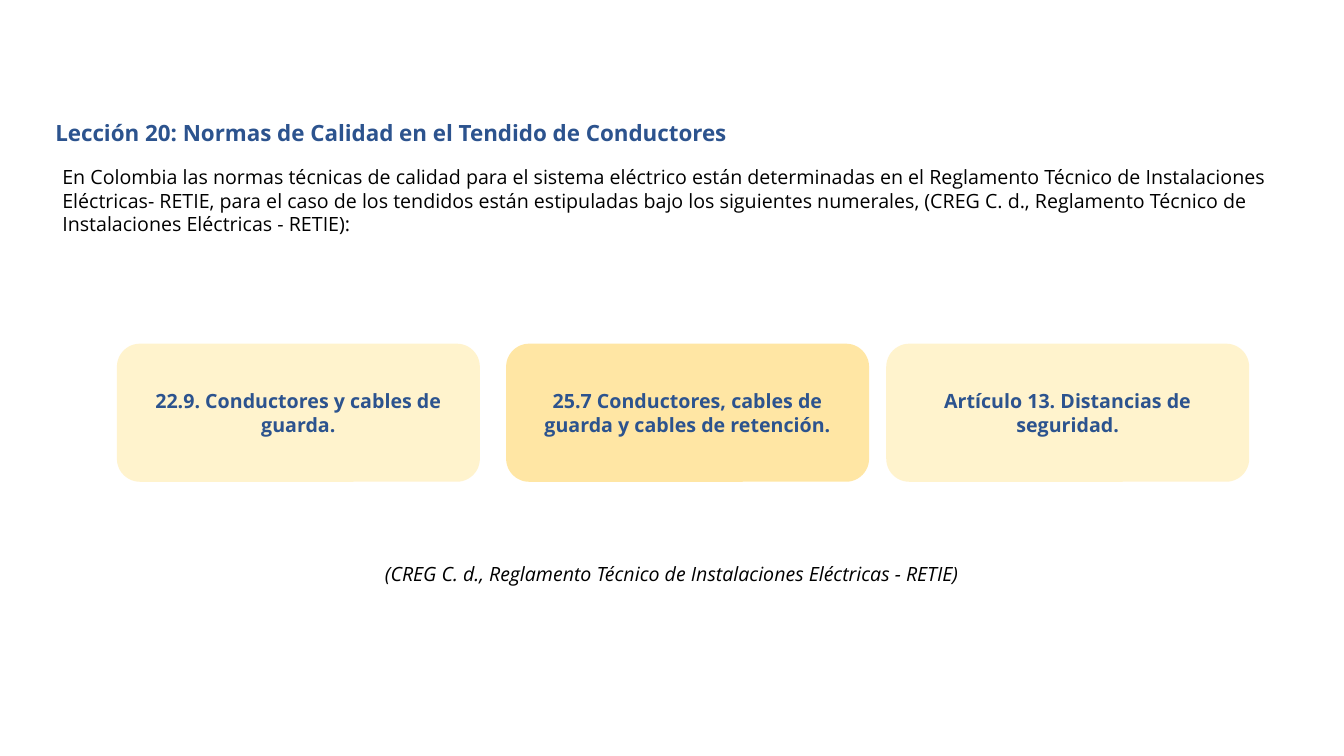
from lxml import etree
from pptx import Presentation
from pptx.dml.color import RGBColor
from pptx.enum import shapes, text
from pptx.oxml import ns
from pptx.util import Inches, Pt

BLUE = RGBColor(0x2C, 0x53, 0x8E)
BLACK = RGBColor(0, 0, 0)
CREAM = RGBColor(0xFF, 0xEE, 0xB9)
AMBER = RGBColor(0xFF, 0xDB, 0x79)

TITLE = "Lección 20: Normas de Calidad en el Tendido de Conductores"
INTRO = (
    "En Colombia las normas técnicas de calidad para el sistema eléctrico están "
    "determinadas en el Reglamento Técnico de Instalaciones Eléctricas- RETIE, para el "
    "caso de los tendidos están estipuladas bajo los siguientes numerales, (CREG C. d., "
    "Reglamento Técnico de Instalaciones Eléctricas - RETIE):"
)
SOURCE = "(CREG C. d., Reglamento Técnico de Instalaciones Eléctricas - RETIE)"
CARDS = [
    (1.16, CREAM, 70, "22.9. Conductores y cables de guarda."),
    (5.02, AMBER, 68, "25.7 Conductores, cables de guarda y cables de retención."),
    (8.79, CREAM, 70, "Artículo 13. Distancias de seguridad."),
]


def write(shape, words, color, size=14, bold=False, italic=False, align=text.PP_ALIGN.LEFT):
    """Put one formatted paragraph in a shape."""
    frame = shape.text_frame
    frame.word_wrap = True
    frame.text = words
    paragraph = frame.paragraphs[0]
    paragraph.alignment = align
    font = paragraph.runs[0].font
    font.name = "Open Sans"
    font.size = Pt(size)
    font.bold = bold
    font.italic = italic
    font.color.rgb = color


def add_text(page, left, top, width, height, words, color, **style):
    """Add a text box that grows with its text."""
    box = page.shapes.add_textbox(Inches(left), Inches(top), Inches(width), Inches(height))
    write(box, words, color, **style)
    box.text_frame.auto_size = text.MSO_AUTO_SIZE.SHAPE_TO_FIT_TEXT


def add_card(page, left, color, opacity, words):
    """Add a translucent rounded card with a centred label."""
    card = page.shapes.add_shape(
        shapes.MSO_SHAPE.ROUNDED_RECTANGLE,
        Inches(left), Inches(3.41), Inches(3.6), Inches(1.37),
    )
    card.shadow.inherit = False
    card.line.fill.background()
    card.fill.solid()
    card.fill.fore_color.rgb = color
    tint = card.fill._xPr.find(ns.qn("a:solidFill"))[0]
    etree.SubElement(tint, ns.qn("a:alpha"), val=str(opacity * 1000))
    card.text_frame.vertical_anchor = text.MSO_ANCHOR.MIDDLE
    write(card, words, BLUE, bold=True, align=text.PP_ALIGN.CENTER)


def main():
    """Build the lesson slide."""
    deck = Presentation()
    deck.slide_width = Inches(13.33)
    deck.slide_height = Inches(7.5)
    page = deck.slides.add_slide(deck.slide_layouts[6])
    add_text(page, 0.45, 1.13, 8.26, 0.37, TITLE, BLUE, size=16, bold=True)
    add_text(page, 0.52, 1.59, 12.34, 0.81, INTRO, BLACK)
    for card in CARDS:
        add_card(page, *card)
    add_text(page, 2.89, 5.53, 7.55, 0.34, SOURCE, BLACK, italic=True,
             align=text.PP_ALIGN.CENTER)
    deck.save("out.pptx")


if __name__ == "__main__":
    main()
